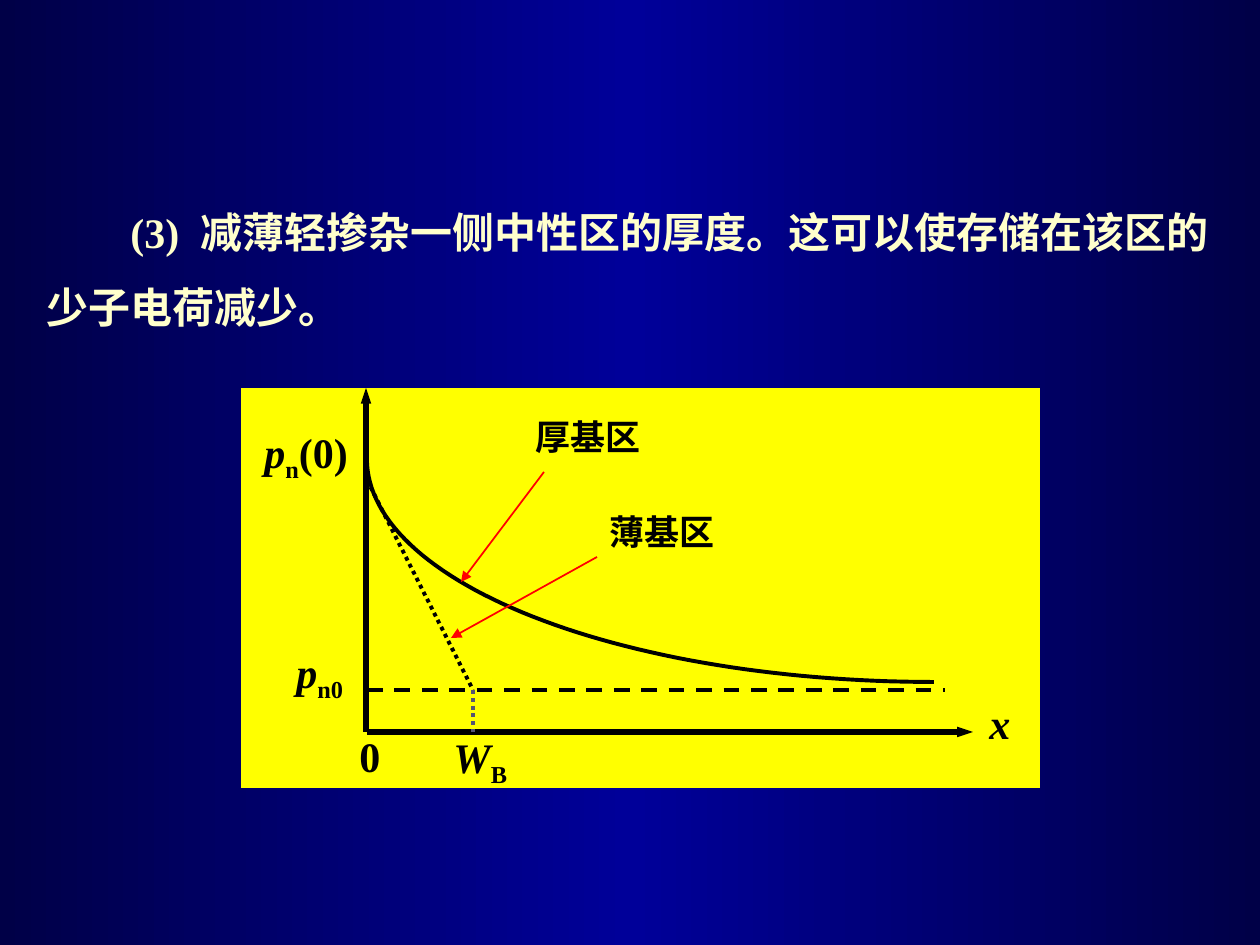
from copy import deepcopy
from math import cos, pi, sin

from pptx import Presentation
from pptx.dml.color import RGBColor
from pptx.enum.dml import MSO_LINE
from pptx.enum.shapes import MSO_CONNECTOR, MSO_SHAPE
from pptx.enum.text import MSO_AUTO_SIZE
from pptx.oxml.ns import qn
from pptx.util import Inches, Pt
from lxml.etree import SubElement

PX = Inches(1) / 126
NAVY = RGBColor(0x00, 0x00, 0x47)
BLUE = RGBColor(0x00, 0x00, 0x99)
CREAM = RGBColor(0xFF, 0xFF, 0xCC)
YELLOW = RGBColor(0xFF, 0xFF, 0x00)
BLACK = RGBColor(0x00, 0x00, 0x00)
GRAY = RGBColor(0x54, 0x54, 0x72)
RED = RGBColor(0xFF, 0x00, 0x00)


def emu(*lengths):
    return [round(n * PX) for n in lengths]


class Deck:
    """Draws styled elements on the current slide."""

    font = {"name": "Times New Roman", "bold": True}
    run_marks = {"sub": ("baseline", "-25000"), "gap": ("spc", "600")}

    def __init__(self):
        self.prs = Presentation()
        self.prs.slide_width, self.prs.slide_height = Inches(10), Inches(7.5)

    def add_slide(self, colors):
        self.s = self.prs.slides.add_slide(self.prs.slide_layouts[6])
        fill = self.s.background.fill
        fill.gradient()
        fill.gradient_angle = 0
        stops = self.s.element.find(".//" + qn("a:gsLst"))
        stops.append(deepcopy(stops[0]))
        for i, (stop, color) in enumerate(zip(fill.gradient_stops, colors)):
            stop.position = i / (len(colors) - 1)
            stop.color.rgb = color

    def panel(self, box, color):
        sp = self.s.shapes.add_shape(MSO_SHAPE.RECTANGLE, *emu(*box))
        sp.shadow.inherit = False
        sp.fill.solid()
        sp.fill.fore_color.rgb = color
        self.stroke(sp, color, 0.75)
        SubElement(sp.element.spPr.find(qn("a:ln")), qn("a:miter"), lim="800000")

    def stroke(self, sp, color, width, dash=None):
        sp.line.color.rgb = color
        sp.line.width = Pt(width)
        if dash:
            sp.line.dash_style = dash

    def line(self, start, end, color=BLACK, width=2.25, dash=None, head=None):
        sp = self.s.shapes.add_connector(MSO_CONNECTOR.STRAIGHT, *emu(*start, *end))
        self.stroke(sp, color, width, dash)
        spPr = sp.element.spPr
        if head:
            SubElement(spPr.find(qn("a:ln")), qn("a:tailEnd"), type="triangle", w=head)
        SubElement(spPr, qn("a:effectLst"))

    def decay(self, center, rx, ry, steps=60):
        cx, cy = center
        angles = [pi / 2 * (1 + i / steps) for i in range(steps + 1)]
        points = [emu(cx + rx * cos(a), cy + ry * sin(a)) for a in angles]
        builder = self.s.shapes.build_freeform(*points[0])
        builder.add_line_segments(points[1:], close=False)
        sp = builder.convert_to_shape()
        sp.shadow.inherit = False
        sp.fill.background()
        self.stroke(sp, BLACK, 2.25)

    def text(self, box, runs, size=24, color=BLACK, spacing=None, indent=0):
        tf = self.s.shapes.add_textbox(*emu(*box)).text_frame
        for name, value in {"word_wrap": True,
                            "auto_size": MSO_AUTO_SIZE.SHAPE_TO_FIT_TEXT}.items():
            setattr(tf, name, value)
        p = tf.paragraphs[0]
        if spacing:
            p.line_spacing = spacing
        if indent:
            pPr = p._p.get_or_add_pPr()
            pPr.set("marL", "0")
            pPr.set("indent", str(emu(indent)[0]))
        for text, kind in runs:
            r = p.add_run()
            r.text = text
            style = {**self.font, "size": Pt(size), "italic": kind == "var"}
            for name, value in style.items():
                setattr(r.font, name, value)
            r.font.color.rgb = color
            if kind in self.run_marks:
                r._r.get_or_add_rPr().set(*self.run_marks[kind])


def main():
    deck = Deck()
    deck.add_slide([NAVY, BLUE, NAVY])
    deck.text((34, 175, 1197, 164),
              [("(3)", ""), (" ", "gap"),
               ("减薄轻掺杂一侧中性区的厚度。这可以使存储在该区的少子电荷减少。", "")],
              color=CREAM, spacing=1.5, indent=84)
    deck.panel((242, 389, 797, 398), YELLOW)

    left, base, floor, width_b = 367, 732, 690, 473
    deck.line((left, base), (973, base), width=3, head="sm")
    deck.line((366, base), (366, 388), width=3, head="sm")
    deck.line((left, floor), (945, floor), dash=MSO_LINE.DASH)
    deck.decay((934, 459), 934 - left, 223)
    deck.line((left, 480), (width_b, floor), dash=MSO_LINE.ROUND_DOT)
    deck.line((width_b, floor), (width_b, base), GRAY, dash=MSO_LINE.ROUND_DOT)

    deck.text((523, 409, 324, 55), [("厚基区", "")], size=20)
    deck.text((597, 504, 324, 55), [("薄基区", "")], size=20)
    for start, end in [((544, 472), (461, 582)), ((597, 557), (451, 638))]:
        deck.line(start, end, RED, 1, head="med")

    labels = [
        ((441, 725, 145, 71), [("W", "var"), ("B", "sub")]),
        ((347, 724, 84, 63), [("0", "")]),
        ((252, 420, 145, 71), [("p", "var"), ("n", "sub"), ("(0)", "")]),
        ((977, 691, 69, 63), [("x", "var")]),
        ((284, 640, 145, 71), [("p", "var"), ("n0", "sub")]),
    ]
    for box, runs in labels:
        deck.text(box, runs)
    deck.prs.save("out.pptx")


if __name__ == "__main__":
    main()
